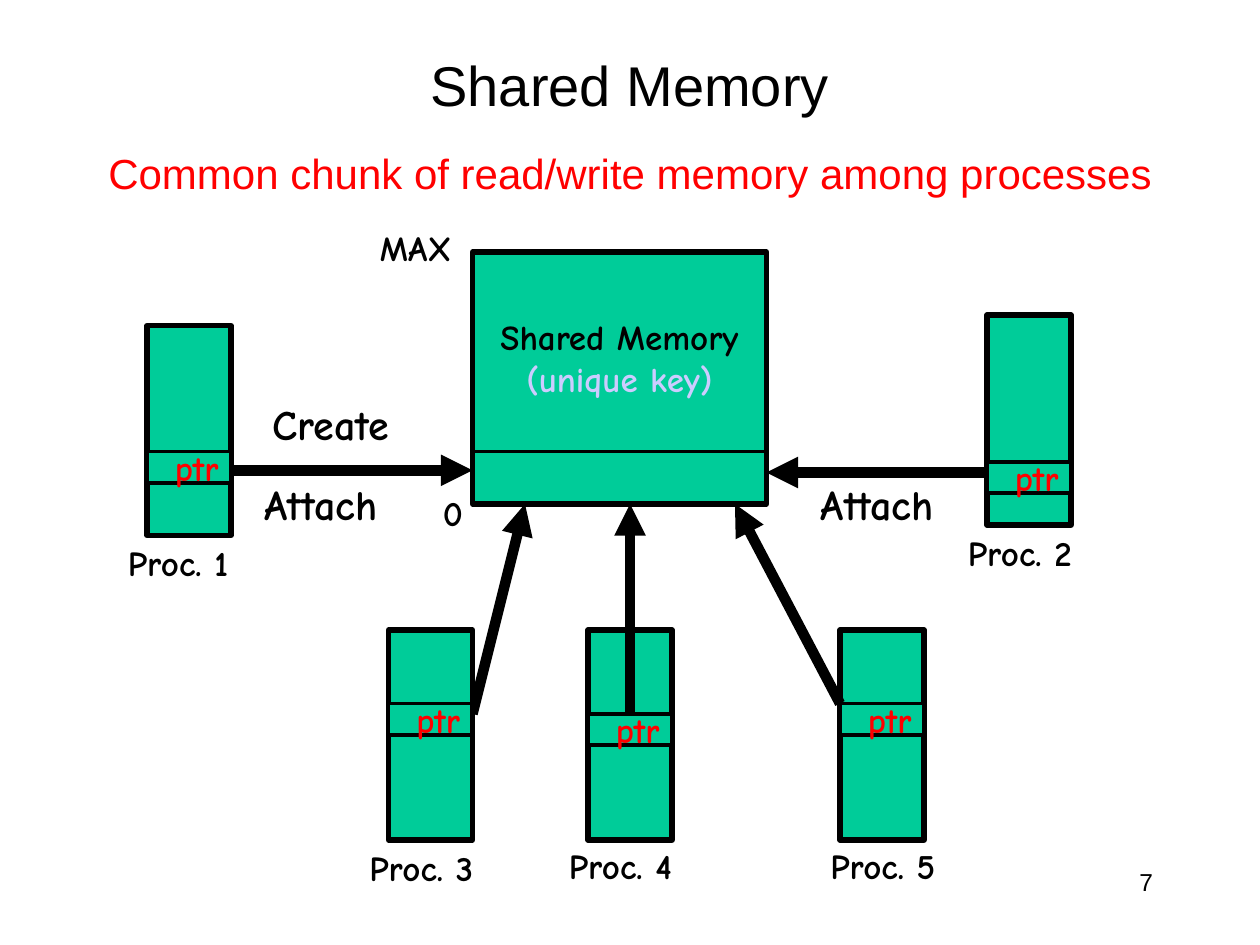
from dataclasses import dataclass
from pptx import Presentation
from pptx.dml.color import RGBColor
from pptx.enum.shapes import MSO_CONNECTOR as Connector, MSO_SHAPE as Shape
from pptx.enum.text import MSO_ANCHOR as Anchor, MSO_AUTO_SIZE as AutoSize, PP_ALIGN as Align
from pptx.oxml.xmlchemy import OxmlElement
from pptx.util import Inches, Pt


@dataclass(frozen=True)
class Theme:
    black: str = "000000"
    red: str = "FF0000"
    green: str = "00CC99"
    lilac: str = "CCCCFF"
    heading_font: str = "Arial"
    diagram_font: str = "Comic Neue"
    title: int = 32
    body: int = 24
    action: int = 24
    label: int = 20
    number: int = 14
    outline: float = 3
    divider: float = 2.25
    arrow: float = 6


theme = Theme()
presentation = Presentation()
presentation.slide_width = Inches(10)
presentation.slide_height = Inches(7.5)
slide = presentation.slides.add_slide(presentation.slide_layouts[1])
cell = presentation.slide_width / 120


def write(shape, lines, size, font, align=Align.LEFT, anchor=Anchor.TOP):
    frame = shape.text_frame
    frame.text = "\n".join(text for text, color in lines)
    frame.word_wrap = True
    frame.auto_size = AutoSize.NONE
    frame.vertical_anchor = anchor
    for paragraph, (text, color) in zip(frame.paragraphs, lines):
        paragraph.alignment = align
        style = paragraph.runs[0].font
        style.name = font
        style.size = Pt(size)
        style.bold = font == theme.diagram_font
        style.color.rgb = RGBColor.from_string(color)
    return frame


def outline(shape, width):
    shape.line.color.rgb = RGBColor.from_string(theme.black)
    shape.line.width = Pt(width)
    if hasattr(shape, "fill"):
        shape.shadow.inherit = False
        shape.fill.solid()
        shape.fill.fore_color.rgb = RGBColor.from_string(theme.green)
    else:
        properties = shape.line._get_or_add_ln().getparent()
        properties.append(OxmlElement("a:effectLst"))
    return shape


title, body = slide.placeholders
headings = [
    (title, (9, 3, 102, 10), "Shared Memory", theme.title, theme.black, Anchor.MIDDLE),
    (body, (3, 14, 114, 6), "Common chunk of read/write memory among processes",
     theme.body, theme.red, Anchor.TOP),
]
for placeholder, box, text, size, color, anchor in headings:
    placeholder.left, placeholder.top, placeholder.width, placeholder.height = [
        round(value * cell) for value in box]
    write(placeholder, [(text, color)], size, theme.heading_font, Align.CENTER, anchor)

paragraph = body.text_frame.paragraphs[0]
paragraph.line_spacing = 0.9
paragraph.space_before = Pt(0)
paragraph_properties = paragraph._p.get_or_add_pPr()
paragraph_properties.set("marL", "0")
paragraph_properties.set("indent", "0")
paragraph_properties.append(OxmlElement("a:buNone"))

memory = outline(slide.shapes.add_shape(
    Shape.RECTANGLE, *[round(value * cell) for value in (45, 24, 28, 24)]), theme.outline)
memory_frame = write(
    memory, [("Shared Memory", theme.black), ("(unique key)", theme.lilac)],
    theme.label, theme.diagram_font, Align.CENTER, Anchor.MIDDLE)
memory_frame.margin_bottom = Inches(0.38)
outline(slide.shapes.add_connector(
    Connector.STRAIGHT, *[round(value * cell) for value in (45, 43, 73, 43)]), theme.divider)

processes = [
    (14, 31, 43, (22, 44.8), (45, 44.8), (11, 51)),
    (94, 30, 44, (94, 45), (73, 45), (91, 50)),
    (37, 60, 67, (45, 68), (50, 48), (34, 80)),
    (56, 60, 68, (60, 68), (60, 48), (53, 79.8)),
    (80, 60, 67, (80, 67), (70, 48), (77.9, 79.8)),
]
labels = []
for number, (left, top, pointer_top, start, end, label) in enumerate(processes, 1):
    outline(slide.shapes.add_shape(
        Shape.RECTANGLE, *[round(value * cell) for value in (left, top, 8, 20)]), theme.outline)
    arrow = outline(slide.shapes.add_connector(
        Connector.STRAIGHT, *[round(value * cell) for value in start + end]), theme.arrow)
    head = OxmlElement("a:tailEnd")
    head.set("type", "triangle")
    arrow.line._get_or_add_ln().append(head)
    pointer = outline(slide.shapes.add_shape(
        Shape.RECTANGLE, *[round(value * cell) for value in (left, pointer_top, 8, 3)]),
        theme.divider)
    write(pointer, [("ptr", theme.red)], theme.label, theme.diagram_font,
          Align.RIGHT, Anchor.MIDDLE)
    labels.append((f"Proc. {number}", *label, 14.2, theme.label))

labels += [
    ("Create", 24.8, 37.4, 15.4, theme.action),
    ("Attach", 24, 45, 16, theme.action),
    ("Attach", 77, 45, 16, theme.action),
    ("MAX", 35, 21, 10.2, theme.label),
    ("0", 41, 46.2, 4.4, theme.label),
]
for text, left, top, width, size in labels:
    label = slide.shapes.add_textbox(
        *[round(value * cell) for value in (left, top, width, size / 4)])
    write(label, [(text, theme.black)], size, theme.diagram_font)

slide_number = slide.shapes.add_textbox(
    *[round(value * cell) for value in (86, 82, 25, 6)])
write(slide_number, [("7", theme.black)], theme.number, theme.heading_font, Align.RIGHT)

presentation.save("out.pptx")
